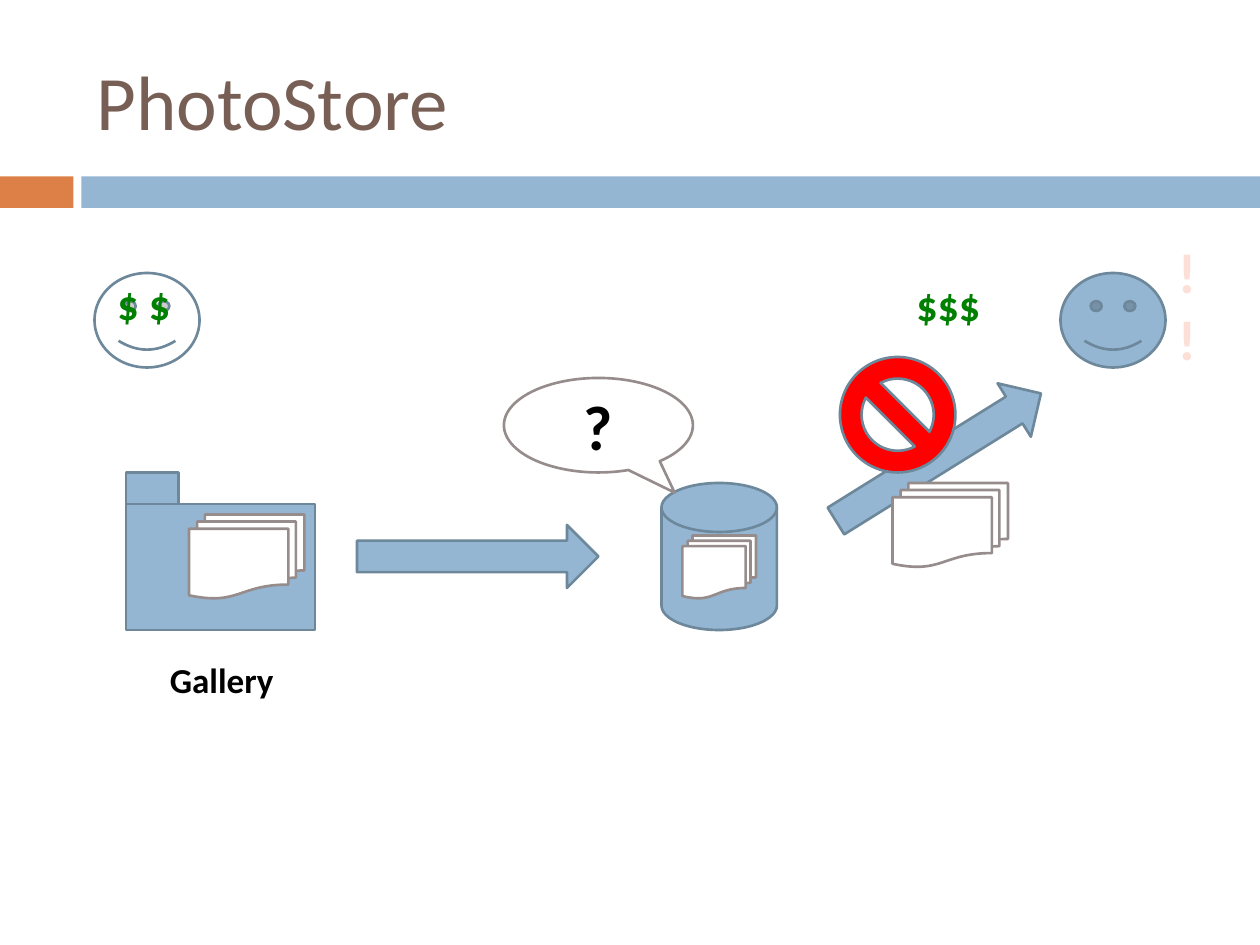
"""Build the PhotoStore slide: a gallery uploads photos that a customer cannot fetch."""
from pptx import Presentation
from pptx.dml.color import RGBColor
from pptx.enum.shapes import MSO_SHAPE as Shape
from pptx.enum.text import MSO_ANCHOR as Anchor, PP_ALIGN as Align
from pptx.util import Pt

BLUE = RGBColor(0x94, 0xB6, 0xD2)
SLATE = RGBColor(0x6D, 0x87, 0x9B)
ORANGE = RGBColor(0xDD, 0x80, 0x47)
BROWN = RGBColor(0x77, 0x5F, 0x55)
GREY = RGBColor(0x96, 0x8C, 0x8C)
WHITE = RGBColor(0xFF, 0xFF, 0xFF)
BLACK = RGBColor(0, 0, 0)
RED = RGBColor(0xFF, 0, 0)
GREEN = RGBColor(0, 0x80, 0)
PINK = RGBColor(0xFC, 0xDF, 0xD6)

deck = Presentation()
deck.slide_width, deck.slide_height = Pt(720), Pt(540)
slide = deck.slides.add_slide(deck.slide_layouts[6])


def draw(kind, box, fill, outline=None):
    figure = slide.shapes.add_shape(kind, *map(Pt, box))
    figure.shadow.inherit = False
    figure.fill.solid()
    figure.fill.fore_color.rgb = fill
    if outline is None:
        figure.line.fill.background()
    else:
        figure.line.color.rgb = outline
        figure.line.width = Pt(1.5)
    return figure


def write(holder, text, size, color, bold=True, wrap=True, anchor=Anchor.TOP, align=Align.LEFT):
    frame = holder.text_frame
    frame.text = text
    for name, value in {"word_wrap": wrap, "vertical_anchor": anchor}.items():
        setattr(frame, name, value)
    line = frame.paragraphs[0]
    line.alignment = align
    font = line.runs[0].font
    for name, value in {"name": "Calibri", "size": Pt(size), "bold": bold}.items():
        setattr(font, name, value)
    font.color.rgb = color


draw(Shape.RECTANGLE, (0, 100.8, 42, 18), ORANGE)
draw(Shape.RECTANGLE, (46.5, 100.8, 673.5, 18), BLUE)
title = slide.shapes.add_textbox(Pt(48), Pt(18), Pt(642), Pt(78))
write(title, "PhotoStore", 44, BROWN, bold=False, anchor=Anchor.MIDDLE)

draw(Shape.RECTANGLE, (72, 288, 108, 72), BLUE, SLATE)
draw(Shape.RECTANGLE, (72, 270, 30, 18), BLUE, SLATE)

delivery = draw(Shape.RIGHT_ARROW, (467.3, 243.3, 138, 36), BLUE, SLATE)
delivery.rotation = 328.1
draw(Shape.RIGHT_ARROW, (204, 300, 138, 36), BLUE, SLATE)

for left, face in ((54, WHITE), (606, BLUE)):
    draw(Shape.SMILEY_FACE, (left, 156, 60, 54), face, SLATE)

draw(Shape.FLOWCHART_MAGNETIC_DISK, (378, 276, 66, 84), BLUE, SLATE)
for photos in ((510, 276, 66, 48), (390, 306, 42, 36), (108, 294, 66, 48)):
    draw(Shape.FLOWCHART_MULTIDOCUMENT, photos, WHITE, GREY)
draw(Shape.NO_SYMBOL, (480, 204, 66, 66), RED, SLATE)

question = draw(Shape.OVAL_CALLOUT, (288, 216, 108, 54), WHITE, GREY)
question.adjustments[0] = 0.403
question.adjustments[1] = 0.713
write(question, "?", 36, BLACK, anchor=Anchor.MIDDLE, align=Align.CENTER)

labels = (
    ("Gallery", (90, 372.5, 77, 31.5), 20, BLACK, False),
    ("$", (78, 155.5, 24, 36), 24, GREEN, True),
    ("$", (60, 155.5, 30, 36), 24, GREEN, True),
    ("$$$", (516.5, 156, 54.5, 36), 24, GREEN, False),
    ("!!", (666, 132, 28, 46), 32, PINK, True),
)
for text, box, size, color, wrap in labels:
    write(slide.shapes.add_textbox(*map(Pt, box)), text, size, color, wrap=wrap)

deck.save("out.pptx")
